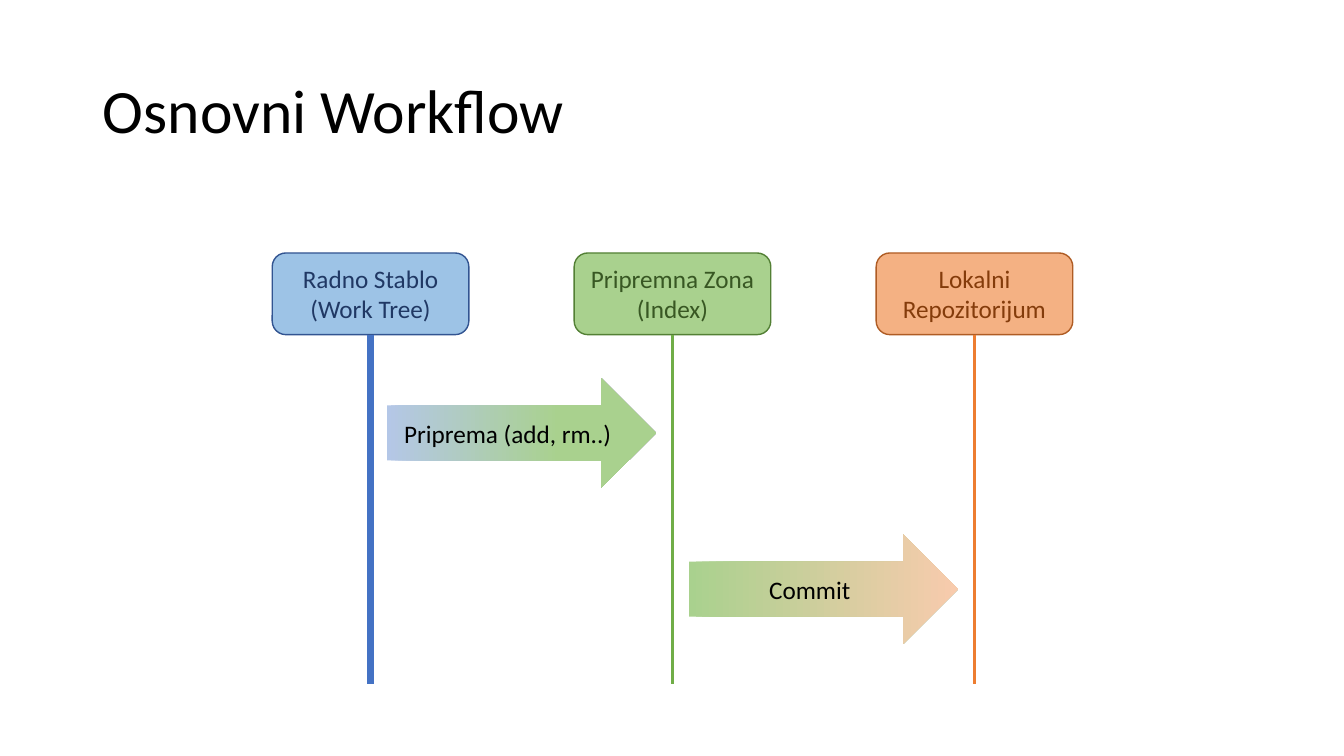
import pptx
import pptx.dml.color
import pptx.enum.shapes
import pptx.enum.text
import pptx.oxml
import pptx.util
from pptx.dml.color import RGBColor
from pptx.enum.shapes import MSO_CONNECTOR, MSO_SHAPE
from pptx.enum.text import MSO_ANCHOR, PP_ALIGN
from pptx.util import Inches

FONT = "Calibri"
BLACK = RGBColor(0x00, 0x00, 0x00)
PALE_BLUE = RGBColor(0xB4, 0xC7, 0xE7)
GREEN = RGBColor(0xA9, 0xD1, 0x8E)
PALE_ORANGE = RGBColor(0xF8, 0xCB, 0xAD)

# Label, fill, outline, text colour, lifeline colour, lifeline width
STAGES = [
    ("Radno Stablo\n(Work Tree)", RGBColor(0x9D, 0xC3, 0xE6), RGBColor(0x32, 0x54, 0x91),
     RGBColor(0x20, 0x38, 0x64), RGBColor(0x44, 0x72, 0xC4), 4.5),
    ("Pripremna Zona\n(Index)", GREEN, RGBColor(0x53, 0x80, 0x35),
     RGBColor(0x38, 0x57, 0x23), RGBColor(0x70, 0xAD, 0x47), 2.25),
    ("Lokalni Repozitorijum", RGBColor(0xF4, 0xB1, 0x83), RGBColor(0xAF, 0x5C, 0x24),
     RGBColor(0x84, 0x3C, 0x0B), RGBColor(0xED, 0x7D, 0x31), 2.25),
]
# Label, top within the diagram, gradient stops
STEPS = [
    ("Priprema (add, rm..)", 1.24, [(0, PALE_BLUE), (0.64, GREEN)]),
    ("Commit", 2.79, [(0, GREEN), (1, PALE_ORANGE)]),
]
STAGE_PITCH = 2.995
STAGE_WIDTH = 1.95
STAGE_HEIGHT = 0.81
STEP_WIDTH = 2.67
STEP_HEIGHT = 1.09


def write_text(shape, text, size, color, alignment):
    """Put formatted, vertically centred text in a shape."""
    frame = shape.text_frame
    frame.text = text
    frame.word_wrap = True
    frame.vertical_anchor = MSO_ANCHOR.MIDDLE
    for paragraph in frame.paragraphs:
        paragraph.alignment = alignment
        paragraph.font.name = FONT
        paragraph.font.size = pptx.util.Pt(size)
        paragraph.font.color.rgb = color


def add_title(slide, left, top, width, height):
    """Place the slide title in its box."""
    title = slide.shapes.title
    title.left, title.top = Inches(left), Inches(top)
    title.width, title.height = Inches(width), Inches(height)
    write_text(title, "Osnovni Workflow", 44, BLACK, PP_ALIGN.LEFT)
    title.text_frame.paragraphs[0].line_spacing = 0.9


def add_stage(slide, left, top, height, stage):
    """Draw a labelled stage with its lifeline down to the given height."""
    label, fill, outline, text_color, line_color, line_width = stage
    box = slide.shapes.add_shape(
        MSO_SHAPE.ROUNDED_RECTANGLE, Inches(left), Inches(top),
        Inches(STAGE_WIDTH), Inches(STAGE_HEIGHT))
    box.shadow.inherit = False
    box.fill.solid()
    box.fill.fore_color.rgb = fill
    box.line.color.rgb = outline
    box.line.width = pptx.util.Pt(1)
    write_text(box, label, 18, text_color, PP_ALIGN.CENTER)

    center = Inches(left + STAGE_WIDTH / 2)
    lifeline = slide.shapes.add_connector(
        MSO_CONNECTOR.STRAIGHT, center, Inches(top + STAGE_HEIGHT),
        center, Inches(top + height))
    lifeline.line.color.rgb = line_color
    lifeline.line.width = pptx.util.Pt(line_width)
    properties = lifeline._element.spPr
    properties.append(pptx.oxml.parse_xml(
        '<a:effectLst xmlns:a="http://schemas.openxmlformats.org/drawingml/2006/main"/>'))


def add_step(slide, left, top, label, stops):
    """Draw a gradient arrow carrying the name of a step."""
    arrow = slide.shapes.add_shape(
        MSO_SHAPE.RIGHT_ARROW, Inches(left), Inches(top),
        Inches(STEP_WIDTH), Inches(STEP_HEIGHT))
    arrow.shadow.inherit = False
    arrow.line.fill.background()
    arrow.fill.gradient()
    arrow.fill.gradient_angle = 0
    for gradient_stop, (position, color) in zip(arrow.fill.gradient_stops, stops):
        gradient_stop.position = position
        gradient_stop.color.rgb = color
    write_text(arrow, label, 18, BLACK, PP_ALIGN.CENTER)


def add_workflow(slide, left, top, height):
    """Draw the stages at an equal pitch and the steps between them."""
    for index, stage in enumerate(STAGES):
        add_stage(slide, left + index * STAGE_PITCH, top, height, stage)
    step_left = left + (STAGE_WIDTH + STAGE_PITCH - STEP_WIDTH) / 2
    for index, (label, offset, stops) in enumerate(STEPS):
        add_step(slide, step_left + index * STAGE_PITCH, top + offset, label, stops)


def main():
    """Build and save the presentation."""
    presentation = pptx.Presentation()
    presentation.slide_width = Inches(13.33)
    presentation.slide_height = Inches(7.5)
    slide = presentation.slides.add_slide(presentation.slide_layouts[5])
    add_title(slide, 0.92, 0.4, 11.5, 1.45)
    add_workflow(slide, 2.7, 2.51, 4.28)
    presentation.save("out.pptx")


if __name__ == "__main__":
    main()
